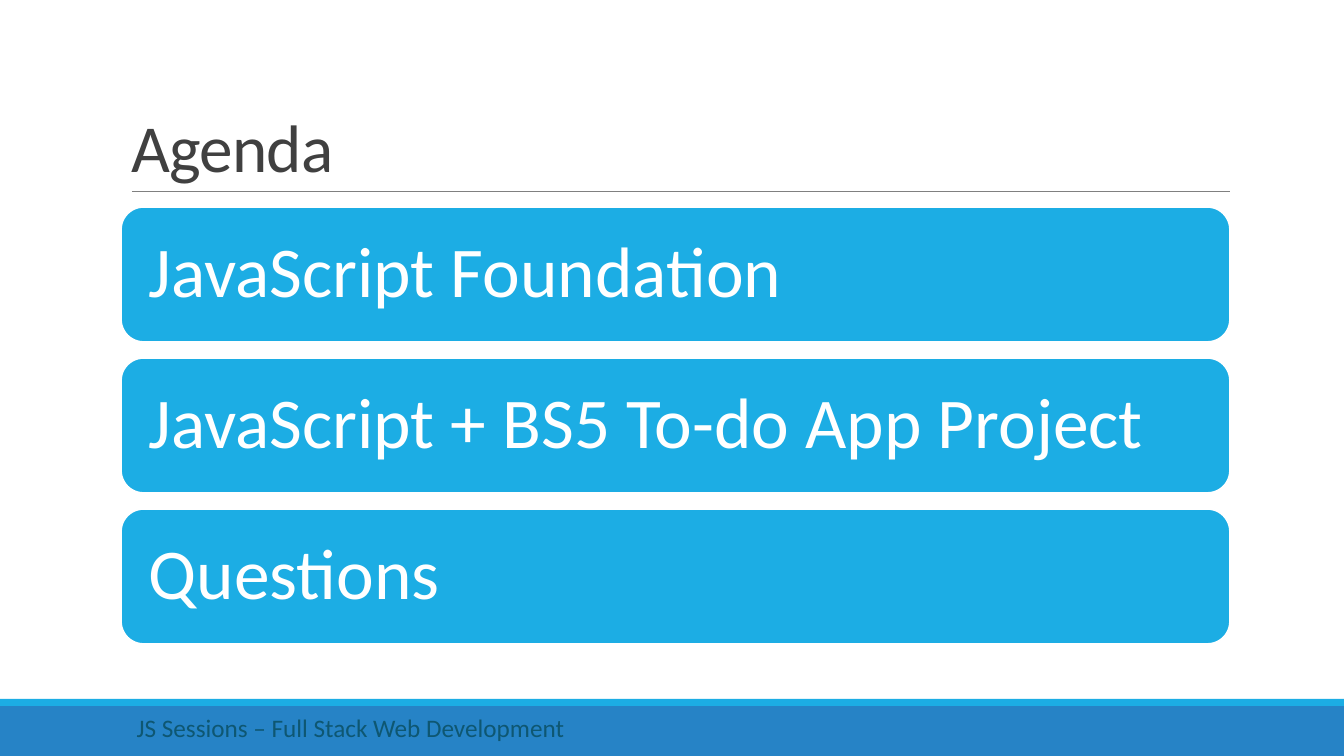
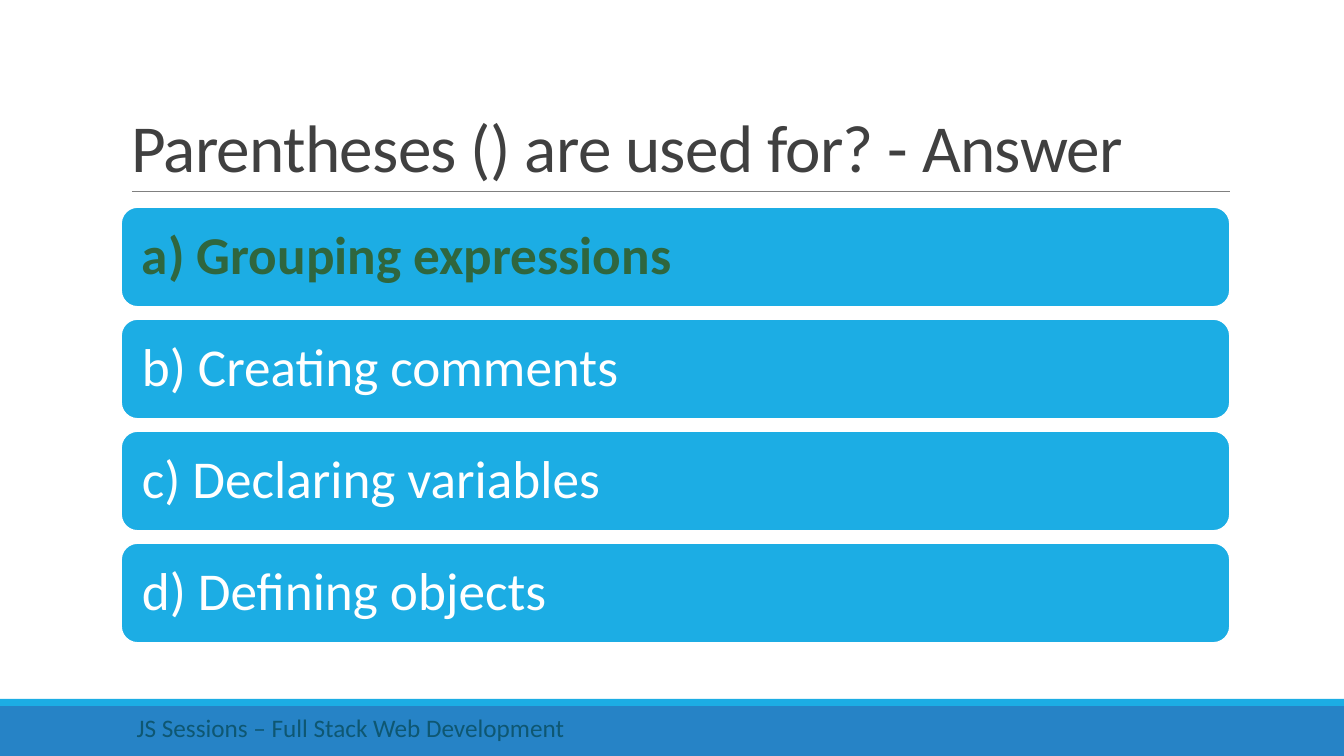
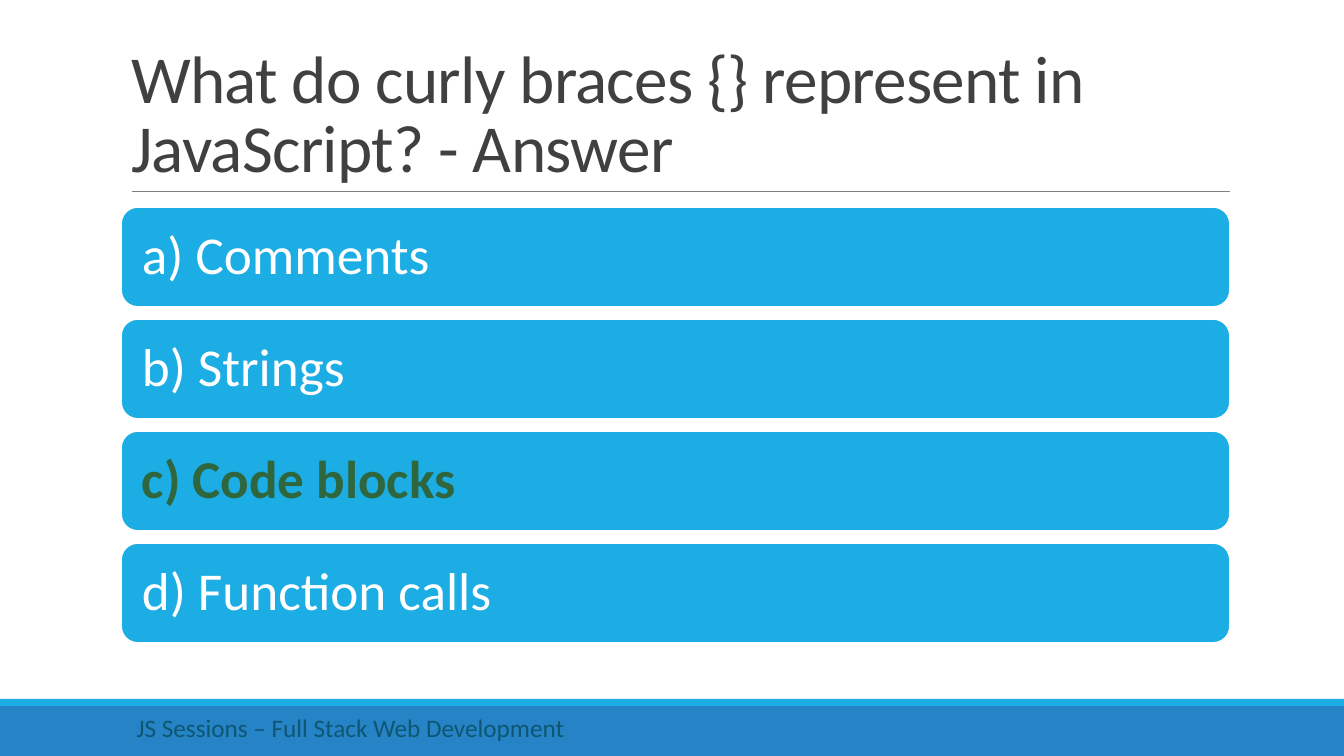
import dataclasses
import pptx
import pptx.util
import pptx.dml.color
import pptx.enum.shapes
import pptx.enum.text
import pptx.oxml.ns
import lxml.etree


@dataclasses.dataclass(frozen=True)
class Theme:
    font: str = "Calibri"
    accent: str = "1CADE4"
    band: str = "2683C6"
    rule: str = "808080"
    title: str = "404040"
    footer: str = "0E5772"
    answer: str = "2F663E"
    light: str = "FFFFFF"
    title_size: int = 48
    agenda_size: int = 51
    option_size: int = 38
    footer_size: int = 18


theme = Theme()
SCALE = 914400 / 100.8
qn = pptx.oxml.ns.qn
rgb = pptx.dml.color.RGBColor.from_string
anchors = pptx.enum.text.MSO_ANCHOR
presets = pptx.enum.shapes.MSO_SHAPE


def px(*lengths):
    return [round(length * SCALE) for length in lengths]


def write(shape, text, size, color, bold=False, anchor=anchors.TOP, leading=1.0, inset=None, tracking=None):
    frame = shape.text_frame
    frame.word_wrap = True
    frame.auto_size = pptx.enum.text.MSO_AUTO_SIZE.NONE
    frame.vertical_anchor = anchor
    if inset is not None:
        margin, = px(inset)
        frame.margin_left = frame.margin_right = margin
        frame.margin_top = frame.margin_bottom = margin
    para = frame.paragraphs[0]
    para.alignment = pptx.enum.text.PP_ALIGN.LEFT
    para.line_spacing = leading
    span = para.add_run()
    span.text = text
    span.font.name = theme.font
    span.font.size = pptx.util.Pt(size)
    span.font.bold = bold
    span.font.color.rgb = rgb(color)
    if tracking is not None:
        for properties in shape.element.iter(qn("a:rPr")):
            properties.set("spc", str(tracking))


deck = pptx.Presentation()
deck.slide_width, deck.slide_height = px(1344, 756)
layout = deck.slide_layouts.get_by_name("Title Only")
for holder in list(layout.placeholders):
    if holder.placeholder_format.idx == 0:
        holder.left, holder.top, holder.width, holder.height = px(121, 31, 1109, 160)
    else:
        holder.element.getparent().remove(holder.element)

agenda = dict(size=theme.agenda_size, height=135, gap=16, inset=21)
quiz = dict(size=theme.option_size, height=100, gap=12, inset=16)
pages = [
    ("Agenda", agenda, None,
     ["JavaScript Foundation", "JavaScript + BS5 To-do App Project", "Questions"]),
    ("Parentheses () are used for? - Answer", quiz, 0,
     ["a) Grouping expressions", "b) Creating comments", "c) Declaring variables", "d) Defining objects"]),
    ("What do curly braces {} represent in JavaScript? - Answer", quiz, 2,
     ["a) Comments", "b) Strings", "c) Code blocks", "d) Function calls"]),
]

for number, (title, style, answer, entries) in enumerate(pages):
    page = deck.slides.add_slide(layout)

    if number == 0:
        shared = []
        for top, height, color in [(706, 50, theme.band), (699, 7, theme.accent)]:
            band = page.shapes.add_shape(presets.RECTANGLE, *px(0, top, 1344, height))
            band.shadow.inherit = False
            band.fill.solid()
            band.fill.fore_color.rgb = rgb(color)
            band.line.fill.background()
            shared.append(band)
        rule = page.shapes.add_connector(pptx.enum.shapes.MSO_CONNECTOR.STRAIGHT, *px(132, 191, 1230, 191))
        rule.line.color.rgb = rgb(theme.rule)
        rule.line.width = pptx.util.Pt(0.5)
        lxml.etree.SubElement(rule.element.find(qn("p:spPr")), qn("a:effectLst"))
        shared.append(rule)
        for position, shape in enumerate(shared, start=2):
            layout.shapes.element.insert(position, shape.element)

    write(page.shapes.title, title, size=theme.title_size, color=theme.title,
          anchor=anchors.BOTTOM, leading=0.85, tracking=-50)

    for row, entry in enumerate(entries):
        top = 207 + row * (style["height"] + style["gap"])
        box = page.shapes.add_shape(presets.ROUNDED_RECTANGLE, *px(121, top, 1109, style["height"]))
        box.shadow.inherit = False
        box.fill.solid()
        box.fill.fore_color.rgb = rgb(theme.accent)
        box.line.color.rgb = rgb(theme.light)
        box.line.width = pptx.util.Pt(1.25)
        correct = row == answer
        write(box, entry, size=style["size"], color=theme.answer if correct else theme.light,
              bold=correct, anchor=anchors.MIDDLE, leading=0.9, inset=style["inset"])

    footer = page.shapes.add_textbox(*px(121, 707, 784, 40))
    write(footer, " JS Sessions – Full Stack Web Development", size=theme.footer_size, color=theme.footer)

deck.save("out.pptx")
